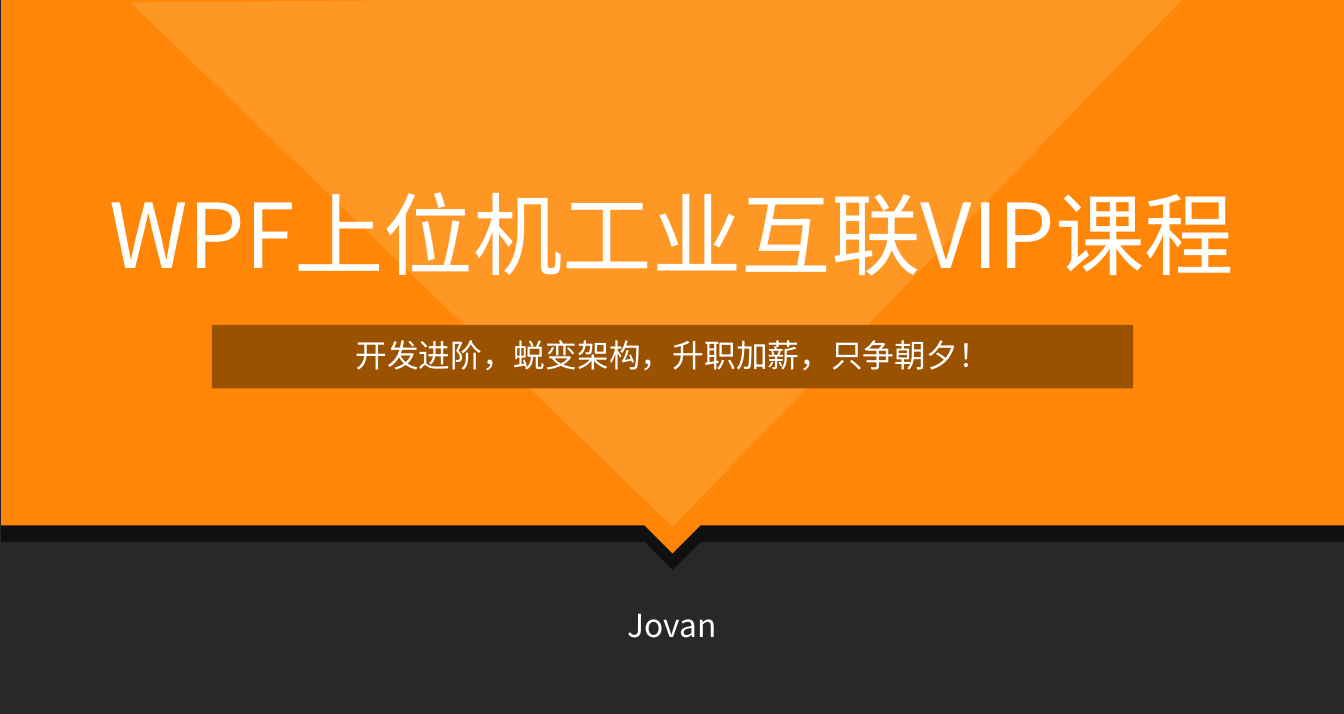
from lxml.etree import SubElement
from pptx import Presentation
from pptx.dml.color import RGBColor
from pptx.enum.shapes import MSO_SHAPE as Shape
from pptx.enum.text import MSO_AUTO_SIZE as AutoSize, PP_ALIGN as Align
from pptx.oxml.ns import qn
from pptx.util import Inches, Pt

# Content and style
SLIDE_POINTS = (762.5, 405)
WIDTH, HEIGHT = (points / 72 for points in SLIDE_POINTS)
FONT = "Noto Sans CJK SC"
WHITE = RGBColor(0xFF, 0xFF, 0xFF)
BLACK = RGBColor(0x00, 0x00, 0x00)
CHARCOAL = RGBColor(0x28, 0x28, 0x28)
ORANGE = RGBColor(0xFF, 0x86, 0x07)
LIGHT_ORANGE = RGBColor(0xFF, 0x97, 0x25)
BROWN = RGBColor(0x9A, 0x51, 0x00)

BANNER_LEFT, BANNER_BOTTOM = 0.01, 4.14
NOTCH_CENTER, NOTCH_HALF, NOTCH_DEPTH = 5.3, 0.22, 0.22
SHADOW_DROP, SHADOW_OPACITY = 0.13, 60
TRIANGLE = [(1.03, 0.02), (9.36, -0.05), (5.3, 4.15)]
SUBTITLE_BAR = (1.67, 2.56, 7.26, 0.5)

# text, (left, top, width, height), size in points
TEXTS = [
    ("WPF上位机工业互联VIP课程", (0, 1.36, WIDTH, 0.96), 50.8),
    ("开发进阶，蜕变架构，升职加薪，只争朝夕！", (1.67, 2.6, 7.26, 0.4), 18),
    ("Jovan", (0, 4.72, WIDTH, 0.4), 18),
]


def paint(shape, color, opacity=100):
    shape.shadow.inherit = False
    shape.fill.solid()
    shape.fill.fore_color.rgb = color
    shape.line.fill.background()
    if opacity < 100:
        color_element = shape.fill._xPr.find(qn("a:solidFill"))[0]
        SubElement(color_element, qn("a:alpha"), val=str(opacity * 1000))


def add_rectangle(slide, box, color):
    paint(slide.shapes.add_shape(Shape.RECTANGLE, *map(Inches, box)), color)


def add_polygon(slide, points, color, opacity=100):
    start, *rest = [(Inches(x), Inches(y)) for x, y in points]
    builder = slide.shapes.build_freeform(*start)
    builder.add_line_segments(rest, close=True)
    paint(builder.convert_to_shape(), color, opacity)


def banner_points(top):
    right, bottom = BANNER_LEFT + WIDTH, top + BANNER_BOTTOM
    return [
        (BANNER_LEFT, top), (right, top), (right, bottom),
        (NOTCH_CENTER + NOTCH_HALF, bottom),
        (NOTCH_CENTER, bottom + NOTCH_DEPTH),
        (NOTCH_CENTER - NOTCH_HALF, bottom),
        (BANNER_LEFT, bottom),
    ]


def add_text(slide, text, box, size):
    frame = slide.shapes.add_textbox(*map(Inches, box)).text_frame
    frame.word_wrap = True
    frame.auto_size = AutoSize.SHAPE_TO_FIT_TEXT
    paragraph = frame.paragraphs[0]
    paragraph.alignment = Align.CENTER
    run = paragraph.add_run()
    run.text = text
    for name, value in {"name": FONT, "size": Pt(size)}.items():
        setattr(run.font, name, value)
    run.font.color.rgb = WHITE
    # Chinese characters take the East Asian typeface
    SubElement(run.font._element, qn("a:ea"), typeface=FONT)


def main():
    presentation = Presentation()
    presentation.slide_width, presentation.slide_height = map(Pt, SLIDE_POINTS)
    slide = presentation.slides.add_slide(presentation.slide_layouts[6])

    # Backdrop and notched banner with its shadow
    add_rectangle(slide, (0, 0, WIDTH, HEIGHT), CHARCOAL)
    add_polygon(slide, banner_points(SHADOW_DROP), BLACK, SHADOW_OPACITY)
    add_polygon(slide, banner_points(0), ORANGE)
    add_polygon(slide, TRIANGLE, LIGHT_ORANGE)

    # Subtitle bar and texts
    add_rectangle(slide, SUBTITLE_BAR, BROWN)
    for text, box, size in TEXTS:
        add_text(slide, text, box, size)

    presentation.save("out.pptx")


if __name__ == "__main__":
    main()
